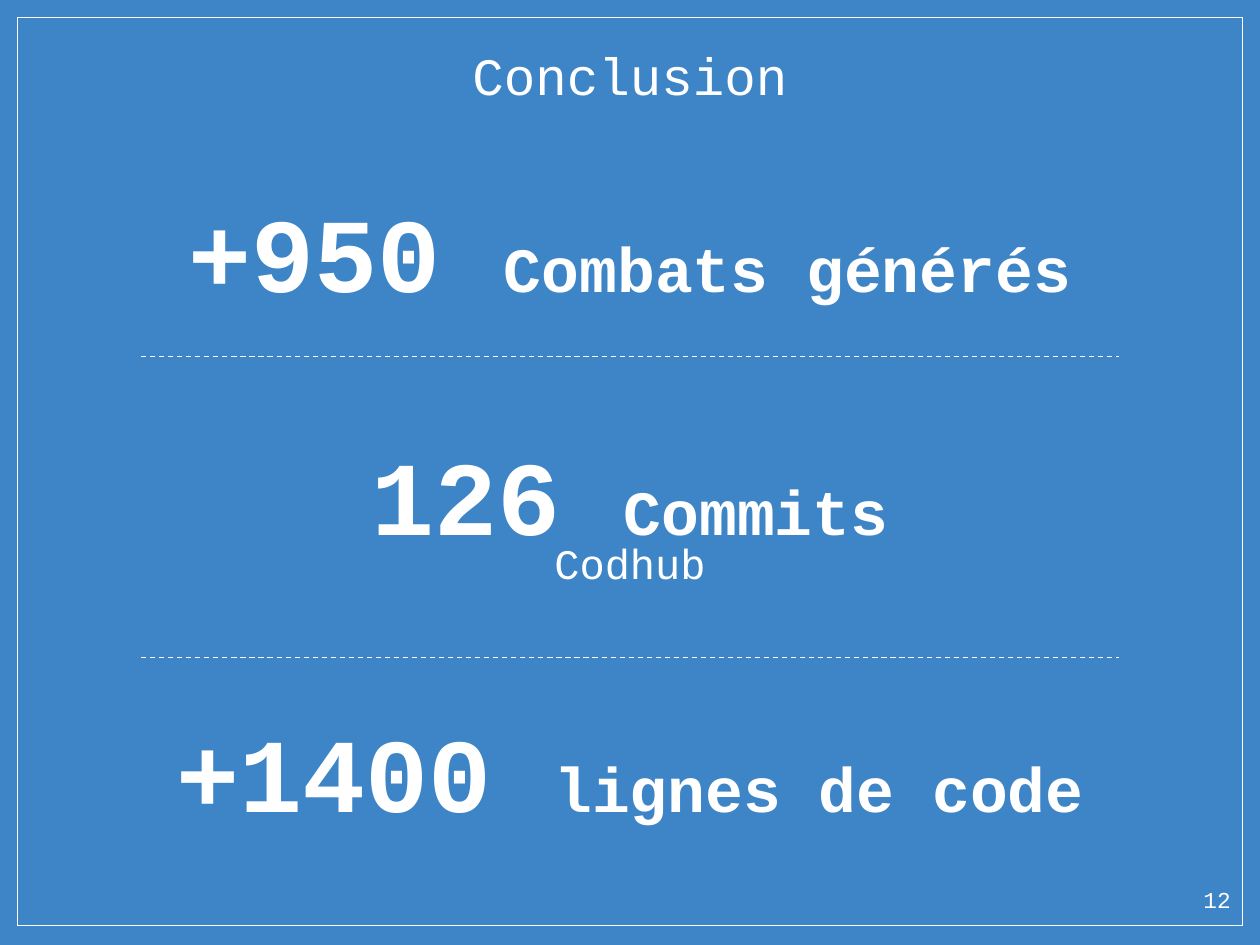
import pptx
import pptx.util
from lxml import etree
from pptx.dml.color import RGBColor
from pptx.enum.dml import MSO_LINE
from pptx.enum.shapes import MSO_CONNECTOR, MSO_SHAPE
from pptx.enum.text import MSO_ANCHOR, MSO_AUTO_SIZE, PP_ALIGN
from pptx.oxml.ns import qn

Pt = pptx.util.Pt

BLUE = RGBColor(0x3D, 0x85, 0xC6)
WHITE = RGBColor(0xFF, 0xFF, 0xFF)
FONT = "Courier New"
INSET = 7.2
CAPTION_INSET = 13.2
LEFT, WIDTH = 80.64, 558.72
METRIC_HEIGHT = 93.6
CAPTION_HEIGHT = 49


def style_run(run, size, bold=False):
    run.font.name = FONT
    run.font.size = Pt(size)
    run.font.bold = bold
    run.font.color.rgb = WHITE


def prepare_text(shape, anchor, top_inset=INSET):
    """Set the frame options of a text shape and return its centred paragraph."""
    frame = shape.text_frame
    frame.word_wrap = True
    frame.auto_size = MSO_AUTO_SIZE.NONE
    frame.vertical_anchor = anchor
    frame.margin_left = frame.margin_right = frame.margin_bottom = Pt(INSET)
    frame.margin_top = Pt(top_inset)
    paragraph = frame.paragraphs[0]
    paragraph.alignment = PP_ALIGN.CENTER
    paragraph.line_spacing = 1.0
    paragraph.space_before = Pt(0)
    return paragraph


def add_text_box(slide, box):
    return slide.shapes.add_textbox(*(Pt(length) for length in box))


def add_frame(slide, box):
    frame = slide.shapes.add_shape(MSO_SHAPE.RECTANGLE, *(Pt(length) for length in box))
    frame.shadow.inherit = False
    frame.fill.background()
    frame.line.color.rgb = WHITE
    frame.line.width = Pt(0.75)


def write_line(shape, text, size, top_inset=INSET):
    """Write one plain line of text at the top of a shape."""
    paragraph = prepare_text(shape, MSO_ANCHOR.TOP, top_inset)
    paragraph.text = text
    style_run(paragraph.runs[0], size)


def place_title(slide, box, text):
    title = slide.shapes.title
    title.left, title.top, title.width, title.height = (Pt(length) for length in box)
    write_line(title, text, 30, CAPTION_INSET)


def add_metric(slide, box, figure, label):
    """Add a large figure followed by its smaller label."""
    paragraph = prepare_text(add_text_box(slide, box), MSO_ANCHOR.BOTTOM)
    for text, size in ((figure + " ", 60), (label, 36)):
        run = paragraph.add_run()
        run.text = text
        style_run(run, size, bold=True)


def add_divider(slide, left, top, width):
    divider = slide.shapes.add_connector(
        MSO_CONNECTOR.STRAIGHT, Pt(left), Pt(top), Pt(left + width), Pt(top))
    divider.line.color.rgb = WHITE
    divider.line.width = Pt(0.75)
    divider.line.dash_style = MSO_LINE.DASH
    properties = divider._element.spPr
    etree.SubElement(properties, qn("a:effectLst"))


def build_conclusion(presentation):
    slide = presentation.slides.add_slide(presentation.slide_layouts[5])
    slide.background.fill.solid()
    slide.background.fill.fore_color.rgb = BLUE

    add_frame(slide, (10, 10, 700, 519))
    place_title(slide, (LEFT, 11.5, WIDTH, CAPTION_HEIGHT), "Conclusion")
    add_metric(slide, (LEFT, 92.9, WIDTH, METRIC_HEIGHT), "+950", "Combats générés")
    add_metric(slide, (LEFT, 231.8, WIDTH, METRIC_HEIGHT), "126", "Commits")
    add_metric(slide, (32.4, 390.2, 655.2, METRIC_HEIGHT), "+1400", "lignes de code")
    caption = add_text_box(slide, (LEFT, 293.8, WIDTH, CAPTION_HEIGHT))
    write_line(caption, "Codhub", 24, CAPTION_INSET)
    for top in (203.7, 375.8):
        add_divider(slide, LEFT, top, WIDTH)
    write_line(add_text_box(slide, (673.9, 499, 43.2, 41)), "12", 13)


def main():
    presentation = pptx.Presentation()
    presentation.slide_width = Pt(720)
    presentation.slide_height = Pt(540)
    build_conclusion(presentation)
    presentation.save("out.pptx")


if __name__ == "__main__":
    main()
